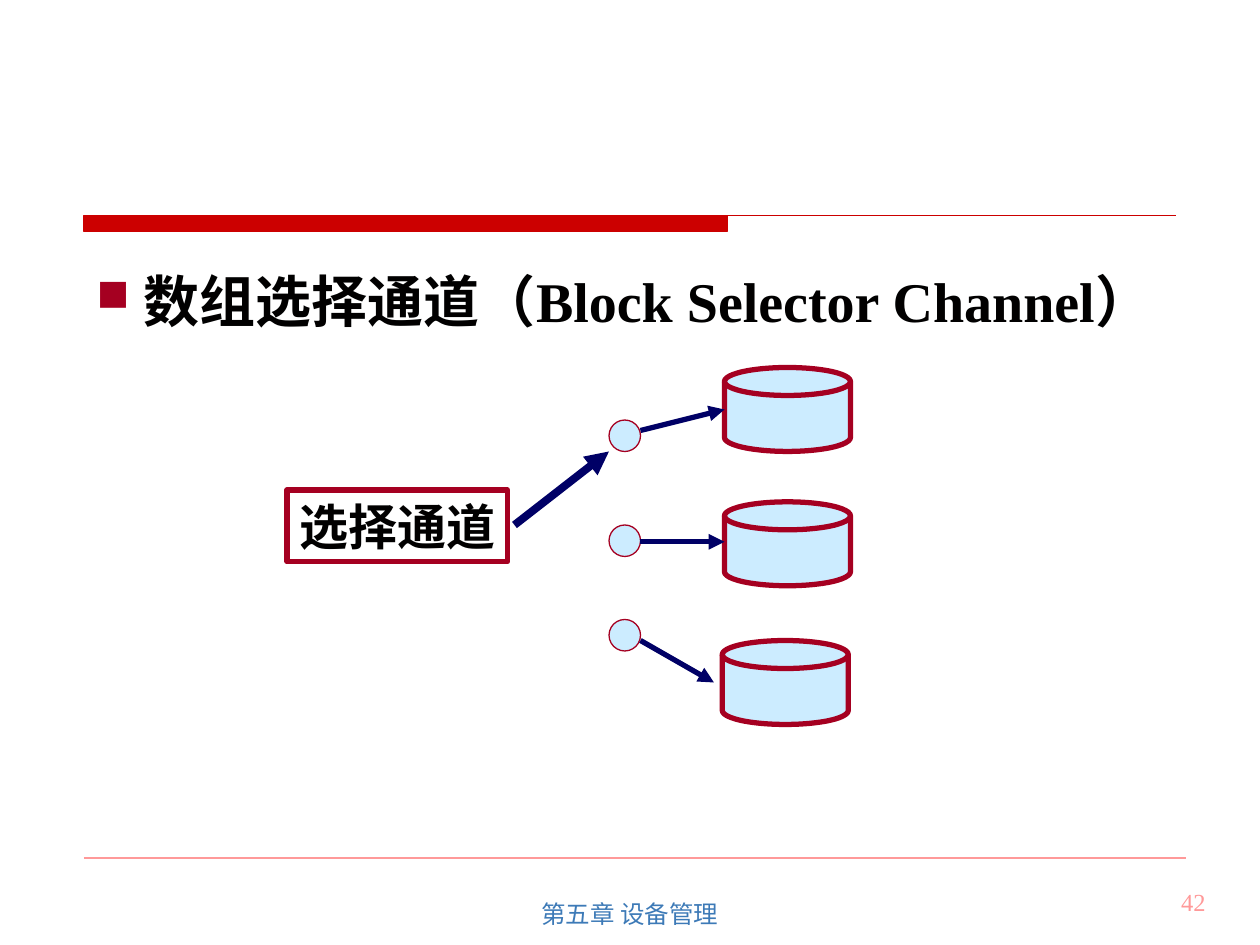
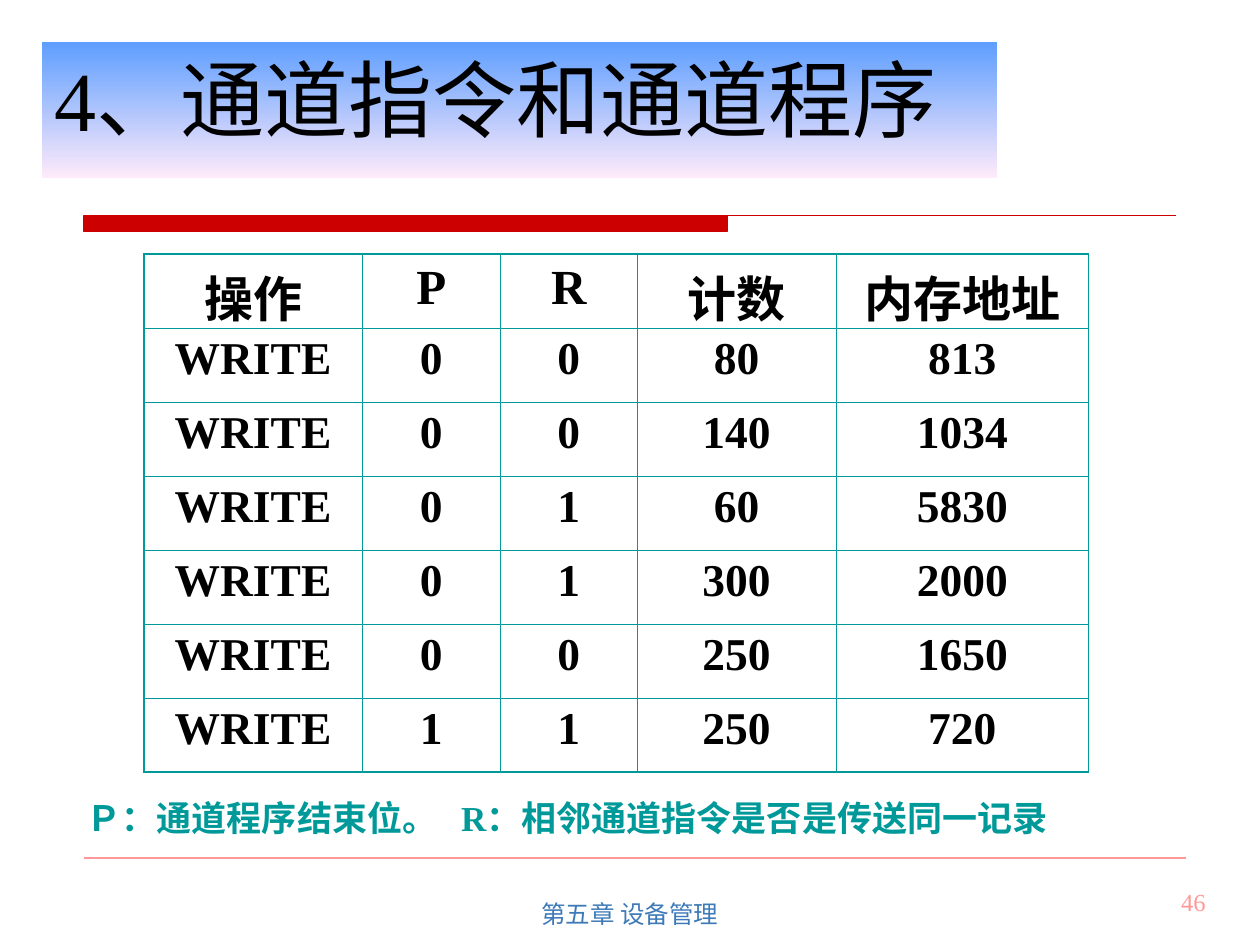
from lxml.etree import SubElement
from pptx import Presentation
from pptx.dml.color import RGBColor
from pptx.enum.shapes import MSO_CONNECTOR, MSO_SHAPE
from pptx.enum.text import MSO_ANCHOR, MSO_AUTO_SIZE, PP_ALIGN
from pptx.oxml.ns import qn
from pptx.util import Pt

COLORS = {
    "ink": "010000", "red": "CC0000", "crimson": "A50021", "pink": "FF9999",
    "navy": "000066", "ice": "CCECFF", "teal": "009999", "footer": "3D7AB7",
    "sky": "5E9EFF", "blush": "FFEBFA",
}
SERIF, SANS = "Times New Roman", "Arial"
HAIR = 0.75


def rgb(name):
    return RGBColor.from_string(COLORS[name])


class Deck:
    """Style and current slide, with one method per kind of element."""

    def __init__(self, prs):
        self.prs = prs
        self.s = None

    def slide(self, number):
        self.s = self.prs.slides.add_slide(self.prs.slide_layouts[6])
        self.line((48, 490.3), (678, 490.3), "pink")
        self.text((546, 503.5, 150, 36), str(number), 14, "pink",
                  align=PP_ALIGN.RIGHT)
        self.line((48, 123), (672, 123), "red")
        self.shape(MSO_SHAPE.RECTANGLE, (48, 123, 367.5, 9.5), "red", "red")
        self.text((246, 504, 228, 36), "第五章 设备管理", 14, "footer", font=SANS,
                  align=PP_ALIGN.CENTER, anchor=MSO_ANCHOR.MIDDLE)

    def line(self, start, end, color, width=HAIR, arrow=False):
        c = self.s.shapes.add_connector(
            MSO_CONNECTOR.STRAIGHT, *[Pt(v) for v in start + end])
        c.line.color.rgb = rgb(color)
        c.line.width = Pt(width)
        pr = c._element.spPr
        if arrow:
            SubElement(pr.find(qn("a:ln")), qn("a:tailEnd"), type="triangle")
        SubElement(pr, qn("a:effectLst"))

    def shape(self, kind, box, fill, outline, width=HAIR):
        sp = self.s.shapes.add_shape(kind, *[Pt(v) for v in box])
        sp.shadow.inherit = False
        if fill:
            sp.fill.solid()
            sp.fill.fore_color.rgb = rgb(fill)
        else:
            sp.fill.background()
        sp.line.color.rgb = rgb(outline)
        sp.line.width = Pt(width)
        return sp

    def style(self, p, size, color, bold=False, font=SERIF,
              align=PP_ALIGN.LEFT, before=0):
        p.alignment = align
        p.space_before = Pt(before)
        for r in p.runs:
            r.font.name = font
            r.font.size = Pt(size)
            r.font.bold = bold
            r.font.color.rgb = rgb(color)

    def text(self, box, text, size, color, anchor=MSO_ANCHOR.TOP, **style):
        sp = self.s.shapes.add_textbox(*[Pt(v) for v in box])
        tf = sp.text_frame
        tf.word_wrap = True
        tf.vertical_anchor = anchor
        tf.text = text
        self.style(tf.paragraphs[0], size, color, **style)
        return sp

    def title(self, text):
        sp = self.text((24, 24, 546, 78), text, 48, "ink",
                       anchor=MSO_ANCHOR.MIDDLE)
        sp.text_frame.paragraphs[0].line_spacing = 0.7
        sp.fill.gradient()
        sp.fill.gradient_angle = 270
        for stop, color in zip(sp.fill.gradient_stops, ("sky", "blush")):
            stop.color.rgb = rgb(color)

    def bullet(self, text):
        sp = self.text((48, 149, 648, 354), text, 32, "ink", bold=True,
                       align=PP_ALIGN.JUSTIFY, before=8)
        sp.text_frame.margin_right = Pt(1.5)
        pr = sp.text_frame.paragraphs[0]._p.get_or_add_pPr()
        pr.set("marL", str(Pt(27)))
        pr.set("indent", str(Pt(-27)))
        color = SubElement(pr, qn("a:buClr"))
        SubElement(color, qn("a:srgbClr"), val=COLORS["crimson"])
        SubElement(pr, qn("a:buSzPct"), val="80000")
        SubElement(pr, qn("a:buChar"), char="■")

    def label(self, box, text):
        sp = self.shape(MSO_SHAPE.RECTANGLE, box, None, "crimson", 3)
        tf = sp.text_frame
        tf.text = text
        tf.word_wrap = False
        tf.auto_size = MSO_AUTO_SIZE.SHAPE_TO_FIT_TEXT
        tf.vertical_anchor = MSO_ANCHOR.TOP
        self.style(tf.paragraphs[0], 28, "ink", bold=True)

    def note(self, text, tab):
        sp = self.text((42.5, 451.5, 595.5, 31.5), text, 20, "teal",
                       bold=True, before=12.5)
        pr = sp.text_frame.paragraphs[0]._p.get_or_add_pPr()
        tabs = SubElement(pr, qn("a:tabLst"))
        SubElement(tabs, qn("a:tab"), pos=str(Pt(tab)), algn="l")

    def borders(self, cell, outer):
        pr = cell._tc.get_or_add_tcPr()
        for side in "LRTB":
            width = 1.08 if side in outer else 0.45
            ln = SubElement(pr, qn("a:ln" + side), w=str(Pt(width)))
            fill = SubElement(ln, qn("a:solidFill"))
            SubElement(fill, qn("a:srgbClr"), val=COLORS["teal"])

    def table(self, left, top, widths, row_height, rows):
        frame = self.s.shapes.add_table(
            len(rows), len(widths), Pt(left), Pt(top),
            Pt(sum(widths)), Pt(row_height * len(rows)))
        table = frame.table
        table.first_row = table.horz_banding = False
        for column, width in zip(table.columns, widths):
            column.width = Pt(width)
        for i, row in enumerate(rows):
            table.rows[i].height = Pt(row_height)
            size = 26 if i else 28
            for j, value in enumerate(row):
                cell = table.cell(i, j)
                cell.text = value
                self.style(cell.text_frame.paragraphs[0], size, "ink",
                           bold=True, align=PP_ALIGN.CENTER, before=size / 4)
                edges = {"L": j == 0, "R": j == len(row) - 1,
                         "T": i == 0, "B": i == len(rows) - 1}
                self.borders(cell, [e for e in edges if edges[e]])
                cell.fill.background()


def selector_slide(deck):
    deck.slide(42)
    deck.bullet("数组选择通道（Block Selector Channel）")
    for left, top in ((414, 210), (414, 286.75), (412.75, 366)):
        deck.shape(MSO_SHAPE.FLOWCHART_MAGNETIC_DISK, (left, top, 72, 48),
                   "ice", "crimson", 3)
    deck.label((164, 280, 126, 41), "选择通道")
    for top in (240, 300, 354):
        deck.shape(MSO_SHAPE.FLOWCHART_CONNECTOR, (348, top, 18, 18),
                   "ice", "crimson")
    for y, end in ((246, (414, 234)), (309.6, (414, 309.6)),
                   (366, (408, 390))):
        deck.line((366, y), end, "navy", 3, arrow=True)
    deck.line((294, 300), (348, 258), "navy", 4.5, arrow=True)


def program_slide(deck):
    deck.slide(46)
    deck.title("4、通道指令和通道程序")
    commands = (
        ("0", "0", "80", "813"),
        ("0", "0", "140", "1034"),
        ("0", "1", "60", "5830"),
        ("0", "1", "300", "2000"),
        ("0", "0", "250", "1650"),
        ("1", "1", "250", "720"),
    )
    rows = [("操作", "P", "R", "计数", "内存地址")]
    rows += [("WRITE",) + command for command in commands]
    deck.table(82.3, 145.2, (124.7, 79, 78, 114, 144), 42.3, rows)
    deck.note("Ｐ：通道程序结束位。\tR：相邻通道指令是否是传送同一记录", 214)


prs = Presentation()
prs.slide_width, prs.slide_height = Pt(720), Pt(540)
deck = Deck(prs)
selector_slide(deck)
program_slide(deck)
prs.save("out.pptx")
